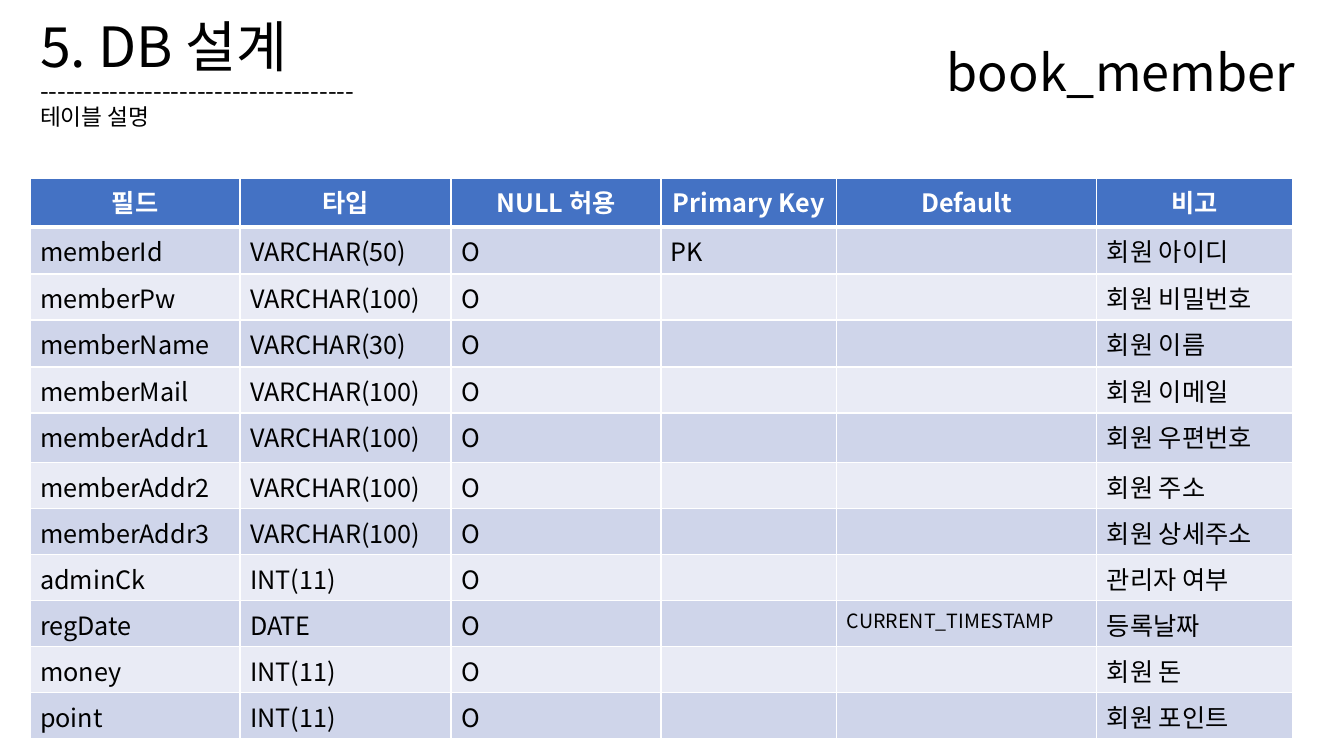
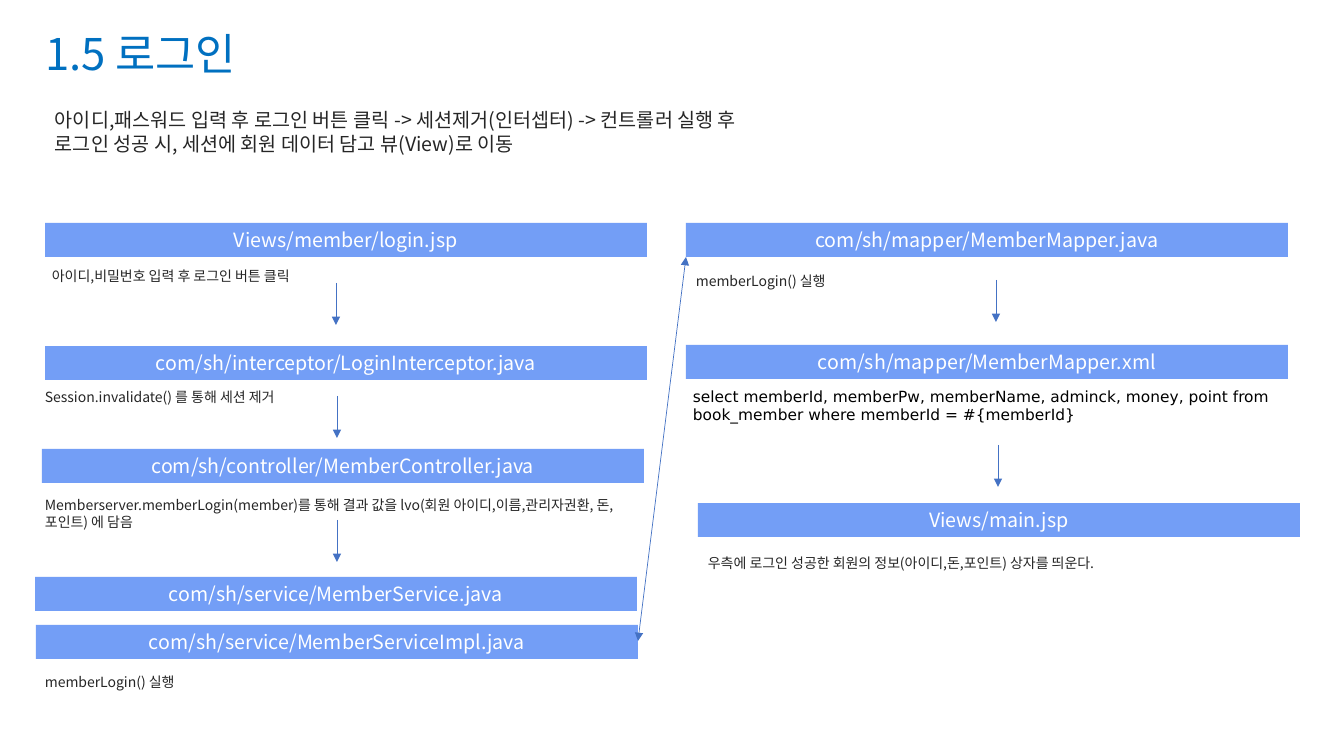
"""Build a table description slide and a login flow slide."""
from lxml.etree import SubElement
from pptx import Presentation
from pptx.dml.color import RGBColor
from pptx.enum.shapes import MSO_CONNECTOR as Connector, MSO_SHAPE as Shape
from pptx.enum.text import MSO_ANCHOR as Anchor, MSO_AUTO_SIZE as AutoSize, PP_ALIGN as Align
from pptx.oxml.ns import qn
from pptx.util import Pt

BLACK = RGBColor(0x00, 0x00, 0x00)
WHITE = RGBColor(0xFF, 0xFF, 0xFF)
INK = RGBColor(0x26, 0x26, 0x26)
TITLE_BLUE = RGBColor(0x00, 0x70, 0xC0)
LINE_BLUE = RGBColor(0x44, 0x72, 0xC4)
BAR_BLUE = RGBColor(0x73, 0x9E, 0xF6)
BANDS = [RGBColor(0xCF, 0xD5, 0xEA), RGBColor(0xE9, 0xEB, 0xF5)]
FONT = "Noto Sans CJK KR"
CODE_FONT = "DejaVu Sans"
EMU_PER_PX = 914400 / 100.8

TABLE_TITLE = [("5. DB 설계", 39.6), ("-" * 36, 18), ("테이블 설명", 16.2)]
HEADERS = ["필드", "타입", "NULL 허용", "Primary Key", "Default", "비고"]
FIELDS = [
    ("memberId", "VARCHAR(50)", "O", "PK", "", "회원 아이디"),
    ("memberPw", "VARCHAR(100)", "O", "", "", "회원 비밀번호"),
    ("memberName", "VARCHAR(30)", "O", "", "", "회원 이름"),
    ("memberMail", "VARCHAR(100)", "O", "", "", "회원 이메일"),
    ("memberAddr1", "VARCHAR(100)", "O", "", "", "회원 우편번호"),
    ("memberAddr2", "VARCHAR(100)", "O", "", "", "회원 주소"),
    ("memberAddr3", "VARCHAR(100)", "O", "", "", "회원 상세주소"),
    ("adminCk", "INT(11)", "O", "", "", "관리자 여부"),
    ("regDate", "DATE", "O", "", "CURRENT_TIMESTAMP", "등록날짜"),
    ("money", "INT(11)", "O", "", "", "회원 돈"),
    ("point", "INT(11)", "O", "", "", "회원 포인트"),
]
COLUMN_WIDTHS = [210, 211, 210, 176, 260, 196]
ROW_HEIGHTS = [49, 47, 46, 47, 46, 50] + [46] * 6

LOGIN_TITLE = [("1.5 로그인", 31.2)]
SUMMARY = ("아이디,패스워드 입력 후 로그인 버튼 클릭 -> 세션제거(인터셉터) -> 컨트롤러 실행 "
           "후 로그인 성공 시, 세션에 회원 데이터 담고 뷰(View)로 이동")
QUERY = ("select memberId, memberPw, memberName, adminck, money, point from "
         "book_member where memberId = #{memberId}")
BAR_WIDTH, BAR_HEIGHT, ARROW_LENGTH = 602, 34, 42
BARS = [
    (45, 223, "Views/member/login.jsp"),
    (45, 346, "com/sh/interceptor/LoginInterceptor.java"),
    (42, 449, "com/sh/controller/MemberController.java"),
    (35, 577, "com/sh/service/MemberService.java"),
    (36, 625, "com/sh/service/MemberServiceImpl.java"),
    (686, 223, "com/sh/mapper/MemberMapper.java"),
    (686, 345, "com/sh/mapper/MemberMapper.xml"),
    (698, 503, "Views/main.jsp"),
]
CAPTIONS = [
    (42, 263, "아이디,비밀번호 입력 후 로그인 버튼 클릭"),
    (35, 384, "Session.invalidate() 를 통해 세션 제거"),
    (35, 492, "Memberserver.memberLogin(member)를 통해 결과 값을 lvo"
              "(회원 아이디,이름,관리자권환, 돈, 포인트) 에 담음"),
    (35, 669, "memberLogin() 실행"),
    (686, 268, "memberLogin() 실행"),
    (698, 550, "우측에 로그인 성공한 회원의 정보(아이디,돈,포인트) 상자를 띄운다."),
]
ARROWS = [(336, 283), (337, 396), (337, 520), (996, 280), (998, 445)]


def px(length):
    return round(length * EMU_PER_PX)


def set_all(target, **values):
    for name, value in values.items():
        setattr(target, name, value)


def write(para, text, size, color, font=FONT, bold=False):
    span = para.add_run()
    span.text = text
    set_all(span.font, name=font, size=Pt(size), bold=bold)
    span.font.color.rgb = color
    SubElement(span.font._element, qn("a:ea"), typeface=font)


def add_text(page, place, text, size, color, font=FONT, anchor=Anchor.TOP, spacing=None):
    box = page.shapes.add_textbox(*map(px, place))
    set_all(box.text_frame, word_wrap=True, vertical_anchor=anchor)
    para = box.text_frame.paragraphs[0]
    para.line_spacing = spacing
    write(para, text, size, color, font)


def add_page(deck, place, lines, color):
    page = deck.slides.add_slide(deck.slide_layouts[5])
    title = page.shapes.title
    set_all(title, **dict(zip(("left", "top", "width", "height"), map(px, place))))
    frame = title.text_frame
    set_all(frame, word_wrap=True, auto_size=AutoSize.NONE, vertical_anchor=Anchor.MIDDLE)
    for index, (text, size) in enumerate(lines):
        para = frame.add_paragraph() if index else frame.paragraphs[0]
        set_all(para, alignment=Align.LEFT, line_spacing=0.9, space_before=Pt(0))
        write(para, text, size, color)
    return page


def add_borders(cell, top, bottom):
    for side, width in zip("LRTB", (1, 1, top, bottom)):
        line = SubElement(cell._tc.get_or_add_tcPr(), qn(f"a:ln{side}"), w=str(Pt(width)))
        fill = SubElement(line, qn("a:solidFill"))
        SubElement(fill, qn("a:srgbClr"), val=str(WHITE))


def add_fields(page):
    rows = [HEADERS, *FIELDS]
    table = page.shapes.add_table(len(rows), len(HEADERS), px(30), px(178),
                                  px(sum(COLUMN_WIDTHS)), px(sum(ROW_HEIGHTS))).table
    for column, width in zip(table.columns, COLUMN_WIDTHS):
        column.width = px(width)
    for index, (values, height) in enumerate(zip(rows, ROW_HEIGHTS)):
        table.rows[index].height = px(height)
        header = index == 0
        for cell, text in zip(table.rows[index].cells, values):
            add_borders(cell, 3 if index == 1 else 1, 3 if header else 1)
            cell.fill.solid()
            cell.fill.fore_color.rgb = LINE_BLUE if header else BANDS[(index - 1) % 2]
            para = cell.text_frame.paragraphs[0]
            para.alignment = Align.CENTER if header else Align.LEFT
            if text:
                size = 14 if text == "CURRENT_TIMESTAMP" else 18
                write(para, text, size, WHITE if header else BLACK, bold=header)


def add_bar(page, left, top, text):
    bar = page.shapes.add_shape(Shape.RECTANGLE, *map(px, (left, top, BAR_WIDTH, BAR_HEIGHT)))
    bar.shadow.inherit = False
    bar.fill.solid()
    bar.fill.fore_color.rgb = BAR_BLUE
    bar.line.fill.background()
    set_all(bar.text_frame, word_wrap=True, vertical_anchor=Anchor.MIDDLE)
    para = bar.text_frame.paragraphs[0]
    para.alignment = Align.CENTER
    write(para, text, 14, WHITE)


def add_arrow(page, points, ends=("tailEnd",)):
    arrow = page.shapes.add_connector(Connector.STRAIGHT, *map(px, points))
    arrow.line.width = Pt(0.5)
    arrow.line.color.rgb = LINE_BLUE
    for end in ends:
        SubElement(arrow.line._get_or_add_ln(), qn(f"a:{end}"), type="triangle")
    SubElement(arrow._element.spPr, qn("a:effectLst"))


def build_table_page(deck):
    page = add_page(deck, (30, 13, 454, 124), TABLE_TITLE, BLACK)
    add_text(page, (937, 43, 384, 64), "book_member", 36, BLACK,
             anchor=Anchor.MIDDLE, spacing=0.9)
    add_fields(page)


def build_login_page(deck):
    page = add_page(deck, (35, 22, 339, 68), LOGIN_TITLE, TITLE_BLUE)
    add_text(page, (45, 103, 725, 72), SUMMARY, 14, INK)
    for bar in BARS:
        add_bar(page, *bar)
    for left, top, text in CAPTIONS:
        add_text(page, (left, top, BAR_WIDTH, 27), text, 10, INK)
    add_text(page, (683, 382, 629, 47), QUERY, 11, BLACK, CODE_FONT)
    for left, top in ARROWS:
        add_arrow(page, (left, top, left, top + ARROW_LENGTH))
    add_arrow(page, (638, 641, 686, 257), ("headEnd", "tailEnd"))


def main():
    deck = Presentation()
    set_all(deck, slide_width=px(1344), slide_height=px(756))
    build_table_page(deck)
    build_login_page(deck)
    deck.save("out.pptx")


if __name__ == "__main__":
    main()
